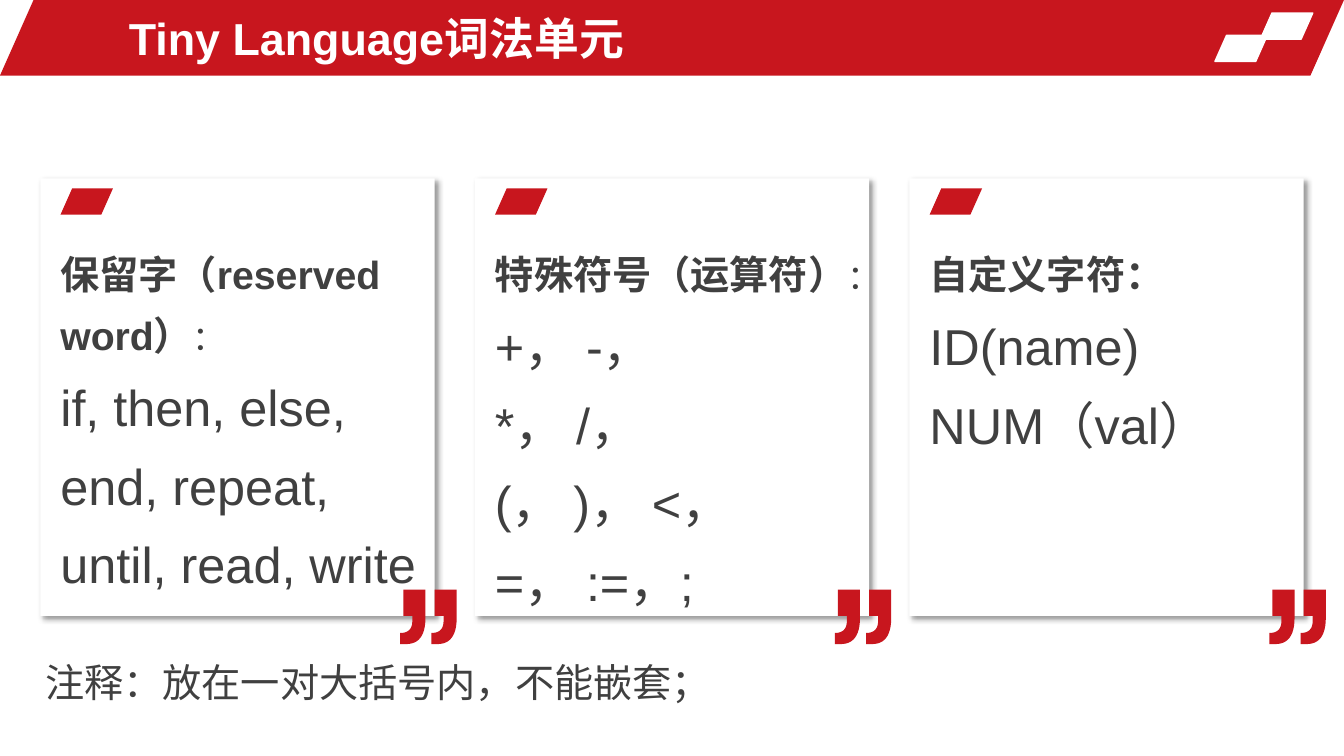
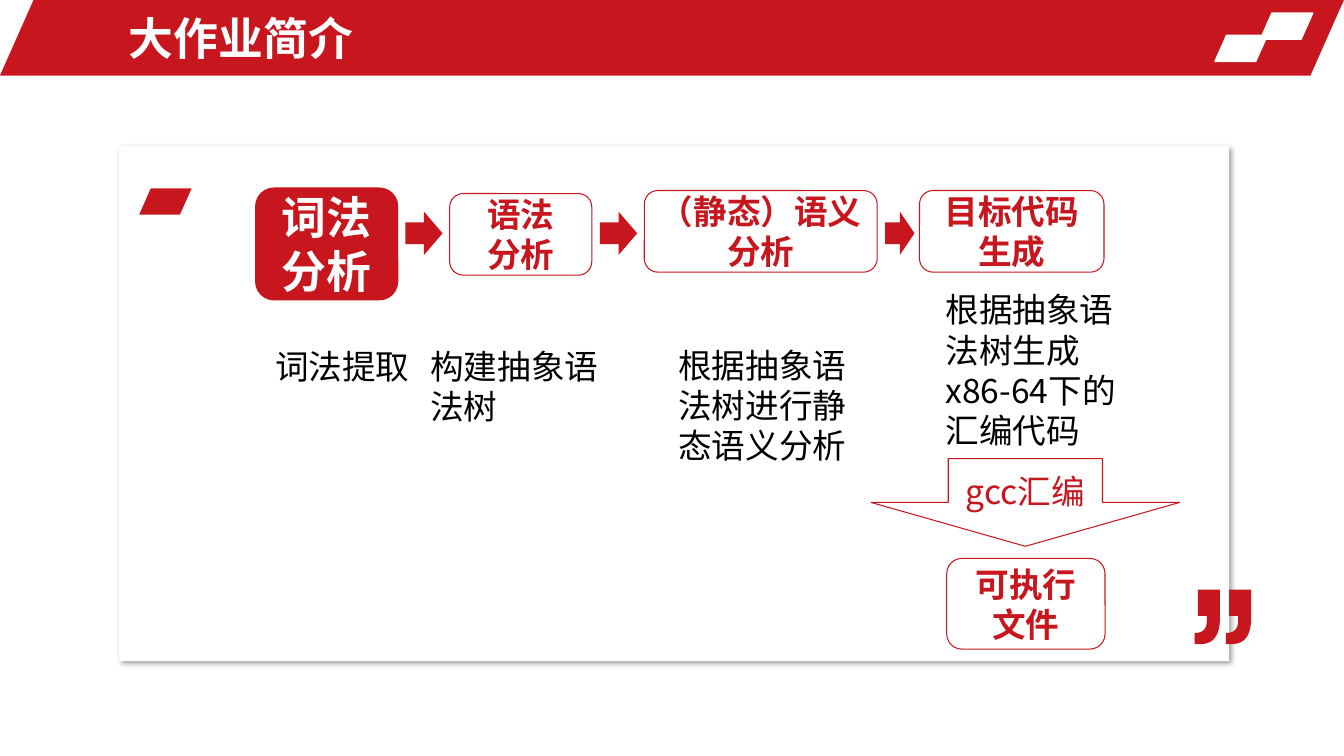
from dataclasses import dataclass

from lxml import etree
from pptx import Presentation
from pptx.dml.color import RGBColor
from pptx.enum.shapes import MSO_SHAPE
from pptx.enum.text import MSO_ANCHOR, MSO_AUTO_SIZE, PP_ALIGN
from pptx.oxml.ns import qn
from pptx.util import Inches, Pt

PARALLELOGRAM = MSO_SHAPE.PARALLELOGRAM
ROUND_RECT = MSO_SHAPE.ROUNDED_RECTANGLE
RIGHT_ARROW = MSO_SHAPE.RIGHT_ARROW
DOWN_ARROW = MSO_SHAPE.DOWN_ARROW
MIDDLE = MSO_ANCHOR.MIDDLE
TOP = MSO_ANCHOR.TOP
CENTER = PP_ALIGN.CENTER
LEFT = PP_ALIGN.LEFT
GROW = MSO_AUTO_SIZE.SHAPE_TO_FIT_TEXT


@dataclass(frozen=True)
class Theme:
    red: str = "C8161E"
    white: str = "FFFFFF"
    gray: str = "404040"
    black: str = "000000"
    latin: str = "Arial"
    cjk: str = "Noto Sans CJK SC"
    title: int = 32
    symbols: int = 36
    heading: int = 28
    body: int = 24
    slant: float = 0.444
    loose: float = 1.3


THEME = Theme()


@dataclass(frozen=True)
class Box:
    left: float
    top: float
    width: float
    height: float

    def emu(self) -> tuple:
        return tuple(Inches(v) for v in (self.left, self.top, self.width, self.height))


@dataclass(frozen=True)
class Run:
    text: str
    size: int = THEME.body
    color: str = THEME.black
    bold: bool = False
    font: str = THEME.cjk


@dataclass(frozen=True)
class Step:
    box: Box
    paragraphs: list
    size: int = THEME.body
    bold: bool = True
    filled: bool = False
    shape: MSO_SHAPE = ROUND_RECT


def add_shape(slide, kind, box: Box, fill=None, line=None, width=0.75, adj=None):
    sp = slide.shapes.add_shape(kind, *box.emu())
    sp.shadow.inherit = False
    if fill:
        sp.fill.solid()
        sp.fill.fore_color.rgb = RGBColor.from_string(fill)
    else:
        sp.fill.background()
    if line:
        sp.line.color.rgb = RGBColor.from_string(line)
        sp.line.width = Pt(width)
    else:
        sp.line.fill.background()
    if adj is not None:
        sp.adjustments[0] = adj
    return sp


def write(sp, paragraphs: list, align=LEFT, anchor=TOP, spacing=None) -> None:
    tf = sp.text_frame
    tf.word_wrap = True
    tf.vertical_anchor = anchor
    for i, runs in enumerate(paragraphs):
        p = tf.paragraphs[0] if i == 0 else tf.add_paragraph()
        p.alignment = align
        if spacing:
            p.line_spacing = spacing
        for run in runs:
            for n, text in enumerate(run.text.split("\n")):
                if n:
                    p.add_line_break()
                r = p.add_run()
                r.text = text
                r.font.size = Pt(run.size)
                r.font.bold = run.bold
                r.font.name = run.font
                r.font.color.rgb = RGBColor.from_string(run.color)
                ea = etree.SubElement(r.font._element, qn("a:ea"))
                ea.set("typeface", THEME.cjk)


def add_text(slide, box: Box, paragraphs: list, spacing=None) -> None:
    sp = slide.shapes.add_textbox(*box.emu())
    write(sp, paragraphs, spacing=spacing)
    sp.text_frame.auto_size = GROW


def add_shadow(sp) -> None:
    effects = sp._element.spPr.find(qn("a:effectLst"))
    shadow = etree.SubElement(effects, qn("a:outerShdw"), blurRad=str(Pt(4)),
                              dist=str(Pt(3)), dir="2700000", algn="tl", rotWithShape="0")
    color = etree.SubElement(shadow, qn("a:srgbClr"), val=THEME.black)
    etree.SubElement(color, qn("a:alpha"), val="40000")


def curve(a: tuple, b: tuple, c: tuple, d: tuple, steps: int = 12) -> list:
    points = []
    for i in range(1, steps + 1):
        t = i / steps
        u = 1 - t
        points.append(tuple(
            u**3 * a[k] + 3 * u * u * t * b[k] + 3 * u * t * t * c[k] + t**3 * d[k]
            for k in (0, 1)))
    return points


def add_quote(slide, left: float, top: float) -> None:
    mark = [(0.03, 0), (0.25, 0), (0.25, 0.28),
            *curve((0.25, 0.28), (0.25, 0.46), (0.18, 0.54), (0.06, 0.54)),
            (0, 0.54), (0, 0.43),
            *curve((0, 0.43), (0.08, 0.43), (0.12, 0.39), (0.12, 0.31)),
            (0.12, 0.26), (0.03, 0.26)]
    marks = [[(Inches(left + dx + x), Inches(top + y)) for x, y in mark]
             for dx in (0, 0.31)]
    builder = slide.shapes.build_freeform(*marks[0][0])
    builder.add_line_segments(marks[0][1:], close=True)
    builder.move_to(*marks[1][0])
    builder.add_line_segments(marks[1][1:], close=True)
    sp = builder.convert_to_shape()
    sp.shadow.inherit = False
    sp.fill.solid()
    sp.fill.fore_color.rgb = RGBColor.from_string(THEME.red)
    sp.line.fill.background()


def add_tag(slide, left: float, top: float, fill: str, line=None) -> None:
    add_shape(slide, PARALLELOGRAM, Box(left, top, 0.52, 0.26), fill, line, 1, THEME.slant)


def add_card(slide, box: Box) -> None:
    add_shadow(add_shape(slide, ROUND_RECT, box, THEME.white, adj=0))
    add_tag(slide, box.left + 0.2, 1.87, THEME.red)
    add_quote(slide, box.left + box.width - 0.34, 5.85)


def add_titled_slide(prs, title: str):
    slide = prs.slides.add_slide(prs.slide_layouts[6])
    add_shape(slide, PARALLELOGRAM, Box(0, 0, 13.33, 0.75), THEME.red, adj=THEME.slant)
    for left, top in ((12.5, 0.13), (12.05, 0.35)):
        add_tag(slide, left, top, THEME.white, THEME.white)
    sp = slide.shapes.add_textbox(*Box(1.18, 0.05, 7.74, 0.65).emu())
    write(sp, [[Run(title, THEME.title, THEME.white, True, THEME.latin)]], anchor=MIDDLE)
    return slide


def gray_run(text: str, size: int, bold: bool = False) -> Run:
    return Run(text, size, THEME.gray, bold, THEME.latin)


def build_tokens(prs) -> None:
    slide = add_titled_slide(prs, "Tiny Language词法单元")
    colon = gray_run("：", THEME.body)
    cards = [
        ([gray_run("保留字（reserved word）", THEME.heading, True), colon],
         ["if, then, else, end, repeat, until, read, write"]),
        ([gray_run("特殊符号（运算符）", THEME.heading, True), colon],
         ["+， -，\n*， /，\n(， )， <，\n=， :=，;"]),
        ([gray_run("自定义字符：", THEME.heading, True)],
         ["ID(name)", "NUM（val）"]),
    ]
    for i, (heading, lines) in enumerate(cards):
        left = 0.4 + 4.31 * i
        add_card(slide, Box(left, 1.77, 3.91, 4.34))
        body = [[gray_run(line, THEME.symbols)] for line in lines]
        add_text(slide, Box(left + 0.1, 2.29, 3.82, 3.61), [heading, *body], THEME.loose)
    add_text(slide, Box(0.35, 6.34, 7.93, 0.65),
             [[gray_run("注释：放在一对大括号内，不能嵌套；", THEME.heading)]], THEME.loose)


def build_project(prs) -> None:
    slide = add_titled_slide(prs, "大作业简介")
    add_card(slide, Box(1.18, 1.45, 11.01, 5.11))
    steps = [
        Step(Box(2.53, 1.86, 1.42, 1.12), ["词法分析"], THEME.title, filled=True),
        Step(Box(4.46, 1.92, 1.41, 0.81), ["语法", "分析"]),
        Step(Box(6.39, 1.89, 2.31, 0.81), ["（静态）语义分析"]),
        Step(Box(9.12, 1.89, 1.83, 0.81), ["目标代码生成"]),
        Step(Box(8.64, 4.55, 3.06, 0.87), ["gcc汇编"], bold=False, shape=DOWN_ARROW),
        Step(Box(9.39, 5.54, 1.57, 0.9), ["可执行文件"]),
    ]
    for step in steps:
        fill, line, color = ((THEME.red, None, THEME.white) if step.filled
                             else (None, THEME.red, THEME.red))
        sp = add_shape(slide, step.shape, step.box, fill, line)
        write(sp, [[Run(text, step.size, color, step.bold)] for text in step.paragraphs],
              CENTER, MIDDLE)
    for left, width in ((4.02, 0.37), (5.95, 0.37), (8.78, 0.29)):
        add_shape(slide, RIGHT_ARROW, Box(left, 2.1, width, 0.43), THEME.red)
    notes = [
        (Box(2.63, 3.38, 1.76, 0.5), "词法提取"),
        (Box(4.17, 3.38, 2.15, 0.91), "构建抽象语法树"),
        (Box(6.63, 3.37, 2.15, 1.31), "根据抽象语法树进行静态语义分析"),
        (Box(9.28, 2.82, 2.15, 1.72), "根据抽象语法树生成x86-64下的汇编代码"),
    ]
    for box, text in notes:
        add_text(slide, box, [[Run(text)]])


def main() -> None:
    prs = Presentation()
    prs.slide_width = Inches(13.33)
    prs.slide_height = Inches(7.5)
    build_tokens(prs)
    build_project(prs)
    prs.save("out.pptx")


if __name__ == "__main__":
    main()
